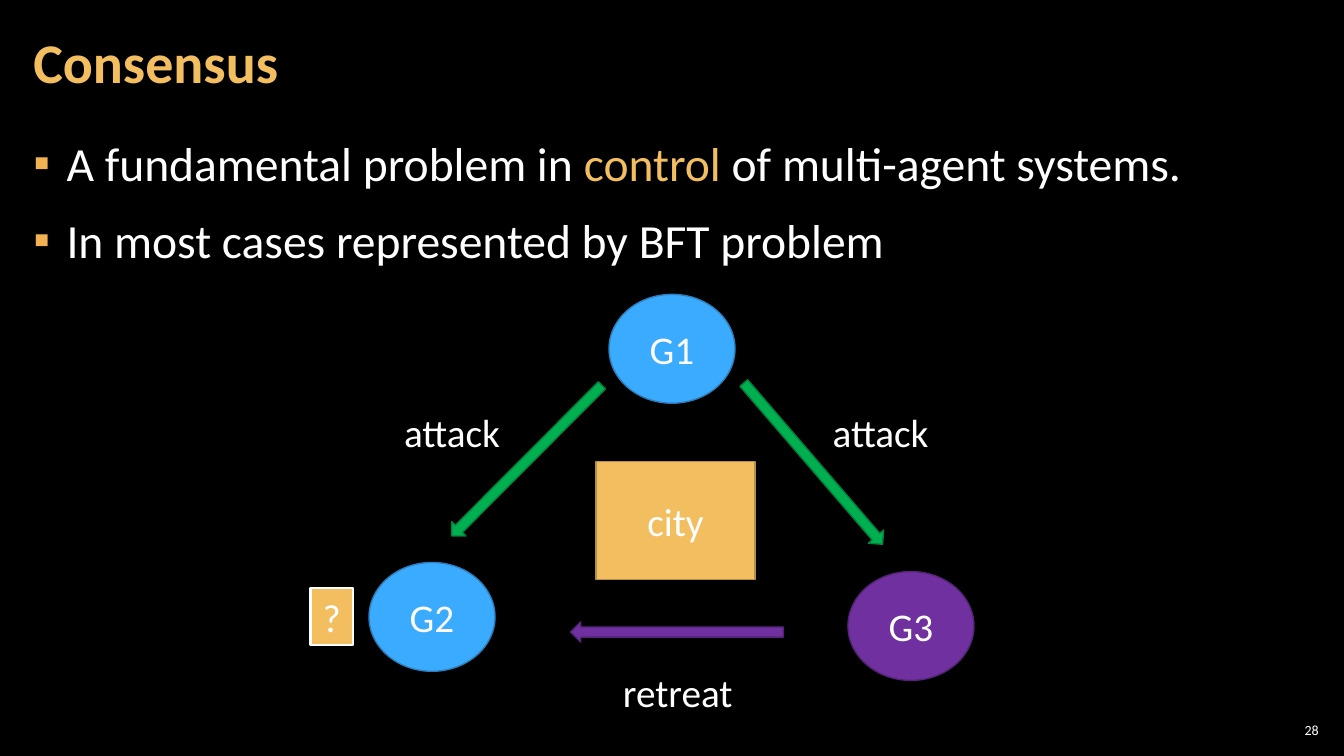
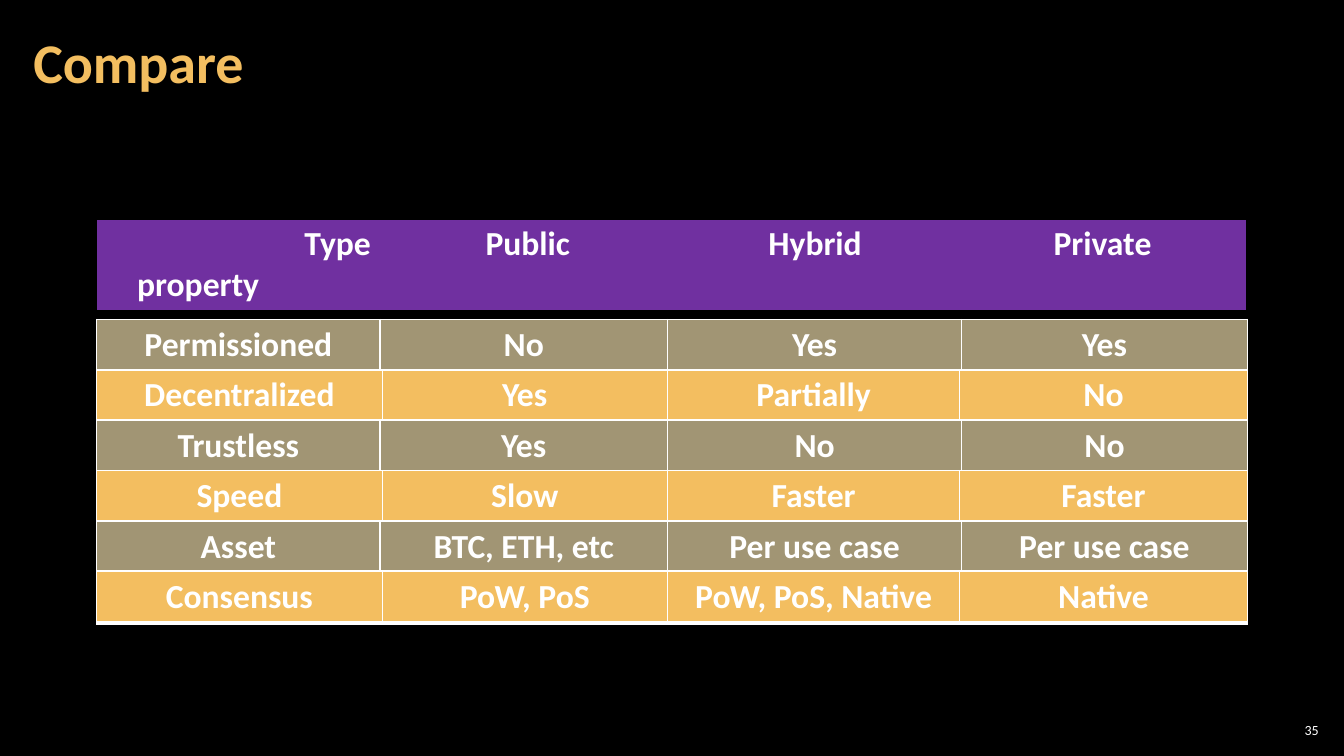
"""Build two slides on consensus: the generals problem and a comparison of blockchain types."""
from dataclasses import dataclass

from lxml import etree
from pptx import Presentation
from pptx import util as u
from pptx.dml.color import RGBColor
from pptx.enum import shapes, text
from pptx.oxml import ns


@dataclass(frozen=True)
class Theme:
    font: str = "Calibri"
    black: str = "000000"
    white: str = "FFFFFF"
    gold: str = "F3BE60"
    gold_edge: str = "B48D47"
    bullet: str = "F2B254"
    blue: str = "3BABFF"
    blue_edge: str = "2C7FBD"
    purple: str = "7030A0"
    purple_edge: str = "532476"
    green: str = "00B050"
    green_edge: str = "00823B"
    taupe: str = "A19574"
    title_size: float = 40
    body_size: float = 34
    label_size: float = 28
    table_size: float = 24
    number_size: float = 10


@dataclass(frozen=True)
class Block:
    kind: shapes.MSO_SHAPE
    left: float
    top: float
    width: float
    height: float
    fill: str
    edge: str
    label: str = ""
    rotation: float = 0
    edge_width: float = 1


@dataclass(frozen=True)
class Label:
    left: float
    top: float
    width: float
    text: str


@dataclass(frozen=True)
class Border:
    color: str | None = None
    width: float = 1


@dataclass(frozen=True)
class TableStyle:
    columns: tuple[float, ...]
    fill: str
    left: Border
    right: Border
    top: Border
    bottom: Border


THEME = Theme()
ALIGN = text.PP_ALIGN
ANCHOR = text.MSO_ANCHOR
SHAPE = shapes.MSO_SHAPE

NODE_SIZE = (1.25, 1.08)
ARROW_SIZE = (2.11, 0.2)
BLOCKS = (
    Block(SHAPE.RECTANGLE, 5.91, 4.58, 1.58, 1.17, THEME.gold, THEME.gold_edge, "city"),
    Block(SHAPE.OVAL, 6.04, 2.92, *NODE_SIZE, THEME.blue, THEME.blue_edge, "G1"),
    Block(SHAPE.OVAL, 3.66, 5.58, *NODE_SIZE, THEME.blue, THEME.blue_edge, "G2"),
    Block(SHAPE.OVAL, 8.41, 5.67, *NODE_SIZE, THEME.purple, THEME.purple_edge, "G3"),
    Block(SHAPE.RIGHT_ARROW, 7.01, 4.5, *ARROW_SIZE, THEME.green, THEME.green_edge, rotation=49.3),
    Block(SHAPE.RIGHT_ARROW, 4.17, 4.47, *ARROW_SIZE, THEME.green, THEME.green_edge, rotation=134.9),
    Block(SHAPE.RIGHT_ARROW, 5.66, 6.17, *ARROW_SIZE, THEME.purple, THEME.purple_edge, rotation=180),
    Block(SHAPE.RECTANGLE, 3.08, 5.83, 0.42, 0.57, THEME.gold, THEME.white, "?", edge_width=1.5),
)
LABELS = (
    Label(3.91, 4, 1.17, "attack"),
    Label(8.16, 4, 1.42, "attack"),
    Label(6.08, 6.58, 1.42, "retreat"),
)
BULLETS = (
    (("A fundamental problem in ", THEME.white), ("control", THEME.gold),
     (" of multi-agent systems.", THEME.white)),
    (("In most cases represented by BFT problem", THEME.white),),
)

TABLE_LEFT = 0.96
HEADER_TOP = 2.17
HEADER_HEIGHT = 0.9
ROWS_TOP = 3.17
ROW_HEIGHT = 0.5
HEADER = ("", "Public", "Hybrid", "Private")
ROWS = (
    ("Permissioned", "No", "Yes", "Yes"),
    ("Decentralized", "Yes", "Partially", "No"),
    ("Trustless", "Yes", "No", "No"),
    ("Speed", "Slow", "Faster", "Faster"),
    ("Asset", "BTC, ETH, etc", "Per use case", "Per use case"),
    ("Consensus", "PoW, PoS", "PoW, PoS, Native", "Native"),
)
THIN, THICK = Border(THEME.white), Border(THEME.white, 3)
NONE, DARK = Border(), Border(THEME.black, 2)
HEADER_STYLE = TableStyle((2.85,) * 4, THEME.purple, NONE, NONE, DARK, DARK)
ROW_STYLES = (
    TableStyle((2.81, 2.85, 2.92, 2.83), THEME.taupe, THIN, THIN, THIN, THICK),
    TableStyle((2.83, 2.83, 2.9, 2.85), THEME.gold, THIN, THIN, THIN, THICK),
)


def rgb(color: str) -> RGBColor:
    return RGBColor.from_string(color)


def write(paragraph, content: str, *, size: float = THEME.label_size, color: str = THEME.white,
          bold: bool = False, align=ALIGN.LEFT) -> None:
    paragraph.alignment = align
    run = paragraph.add_run()
    run.text = content
    run.font.name = THEME.font
    run.font.size = u.Pt(size)
    run.font.bold = bold
    run.font.color.rgb = rgb(color)


def place(shape, left: float, top: float, width: float, height: float) -> None:
    shape.left, shape.top = u.Inches(left), u.Inches(top)
    shape.width, shape.height = u.Inches(width), u.Inches(height)


def set_frame(frame, horizontal: float, vertical: float, anchor) -> None:
    frame.word_wrap = True
    frame.auto_size = text.MSO_AUTO_SIZE.NONE
    frame.margin_left = frame.margin_right = u.Inches(horizontal)
    frame.margin_top = frame.margin_bottom = u.Inches(vertical)
    frame.vertical_anchor = anchor


def add_text_box(slide, left: float, top: float, width: float, height: float):
    return slide.shapes.add_textbox(*map(u.Inches, (left, top, width, height))).text_frame


def add_slide(presentation, layout_index: int, title: str, number: str):
    slide = presentation.slides.add_slide(presentation.slide_layouts[layout_index])
    place(slide.shapes.title, 0.21, 0.04, 10.47, 1.21)
    frame = slide.shapes.title.text_frame
    set_frame(frame, 0.12, 0.04, ANCHOR.MIDDLE)
    frame.paragraphs[0].line_spacing = 0.9
    write(frame.paragraphs[0], title, size=THEME.title_size, color=THEME.gold, bold=True)
    number_frame = add_text_box(slide, 12.65, 7.14, 0.47, 0.21)
    set_frame(number_frame, 0.04, 0.04, ANCHOR.MIDDLE)
    write(number_frame.paragraphs[0], number, size=THEME.number_size, align=ALIGN.RIGHT)
    return slide


def indent(paragraph, margin: float, first_line: float = 0) -> None:
    properties = paragraph._p.get_or_add_pPr()
    properties.set("marL", str(u.Inches(margin)))
    properties.set("indent", str(u.Inches(first_line)))


def add_bullet(paragraph) -> None:
    indent(paragraph, 0.33, -0.33)
    properties = paragraph._p.get_or_add_pPr()
    color = etree.SubElement(properties, ns.qn("a:buClr"))
    etree.SubElement(color, ns.qn("a:srgbClr"), val=THEME.bullet)
    etree.SubElement(properties, ns.qn("a:buChar"), char="▪")


def fill_body(body) -> None:
    place(body, 0.21, 1.26, 12.91, 6.09)
    frame = body.text_frame
    set_frame(frame, 0.12, 0.04, ANCHOR.TOP)
    for index, runs in enumerate(BULLETS):
        paragraph = frame.add_paragraph() if index else frame.paragraphs[0]
        add_bullet(paragraph)
        paragraph.line_spacing = 1.05
        paragraph.space_before = u.Pt(6 if index else 0)
        paragraph.space_after = u.Pt(6)
        for content, color in runs:
            write(paragraph, content, size=THEME.body_size, color=color)


def add_block(slide, block: Block) -> None:
    box = map(u.Inches, (block.left, block.top, block.width, block.height))
    shape = slide.shapes.add_shape(block.kind, *box)
    shape.shadow.inherit = False
    shape.rotation = block.rotation
    shape.fill.solid()
    shape.fill.fore_color.rgb = rgb(block.fill)
    shape.line.color.rgb = rgb(block.edge)
    shape.line.width = u.Pt(block.edge_width)
    if block.label:
        set_frame(shape.text_frame, 0, 0, ANCHOR.MIDDLE)
        write(shape.text_frame.paragraphs[0], block.label, align=ALIGN.CENTER)


def add_label(slide, label: Label) -> None:
    frame = add_text_box(slide, label.left, label.top, label.width, 0.57)
    set_frame(frame, 0.1, 0.05, ANCHOR.TOP)
    write(frame.paragraphs[0], label.text)


def set_border(cell, tag: str, border: Border) -> None:
    line = etree.SubElement(cell._tc.get_or_add_tcPr(), ns.qn(tag), w=str(u.Pt(border.width)))
    if border.color is None:
        etree.SubElement(line, ns.qn("a:noFill"))
    else:
        fill = etree.SubElement(line, ns.qn("a:solidFill"))
        etree.SubElement(fill, ns.qn("a:srgbClr"), val=border.color)


def add_row_table(slide, top: float, height: float, values: tuple[str, ...], style: TableStyle):
    box = map(u.Inches, (TABLE_LEFT, top, sum(style.columns), height))
    table = slide.shapes.add_table(1, len(values), *box).table
    table.first_row = table.horz_banding = False
    for column, width in zip(table.columns, style.columns):
        column.width = u.Inches(width)
    for cell, value in zip(table.rows[0].cells, values):
        for tag, border in (("a:lnL", style.left), ("a:lnR", style.right),
                            ("a:lnT", style.top), ("a:lnB", style.bottom)):
            set_border(cell, tag, border)
        cell.fill.solid()
        cell.fill.fore_color.rgb = rgb(style.fill)
        if value:
            write(cell.text_frame.paragraphs[0], value, size=THEME.table_size, bold=True,
                  align=ALIGN.CENTER)
    return table


def build_consensus(presentation) -> None:
    slide = add_slide(presentation, 1, "Consensus", "28")
    fill_body(slide.placeholders[1])
    for block in BLOCKS:
        add_block(slide, block)
    for label in LABELS:
        add_label(slide, label)


def build_compare(presentation) -> None:
    slide = add_slide(presentation, 5, "Compare", "35")
    header = add_row_table(slide, HEADER_TOP, HEADER_HEIGHT, HEADER, HEADER_STYLE)
    corner = header.cell(0, 0).text_frame
    for paragraph, content, margin in ((corner.paragraphs[0], "Type", 1.96),
                                       (corner.add_paragraph(), "property", 0.3)):
        indent(paragraph, margin)
        write(paragraph, content, size=THEME.table_size, bold=True)
    for index, values in enumerate(ROWS):
        style = ROW_STYLES[index % len(ROW_STYLES)]
        add_row_table(slide, ROWS_TOP + index * ROW_HEIGHT, ROW_HEIGHT, values, style)


def main() -> None:
    presentation = Presentation()
    presentation.slide_width, presentation.slide_height = u.Inches(13.33), u.Inches(7.5)
    background = presentation.slide_master.background.fill
    background.solid()
    background.fore_color.rgb = rgb(THEME.black)
    build_consensus(presentation)
    build_compare(presentation)
    presentation.save("out.pptx")


if __name__ == "__main__":
    main()
